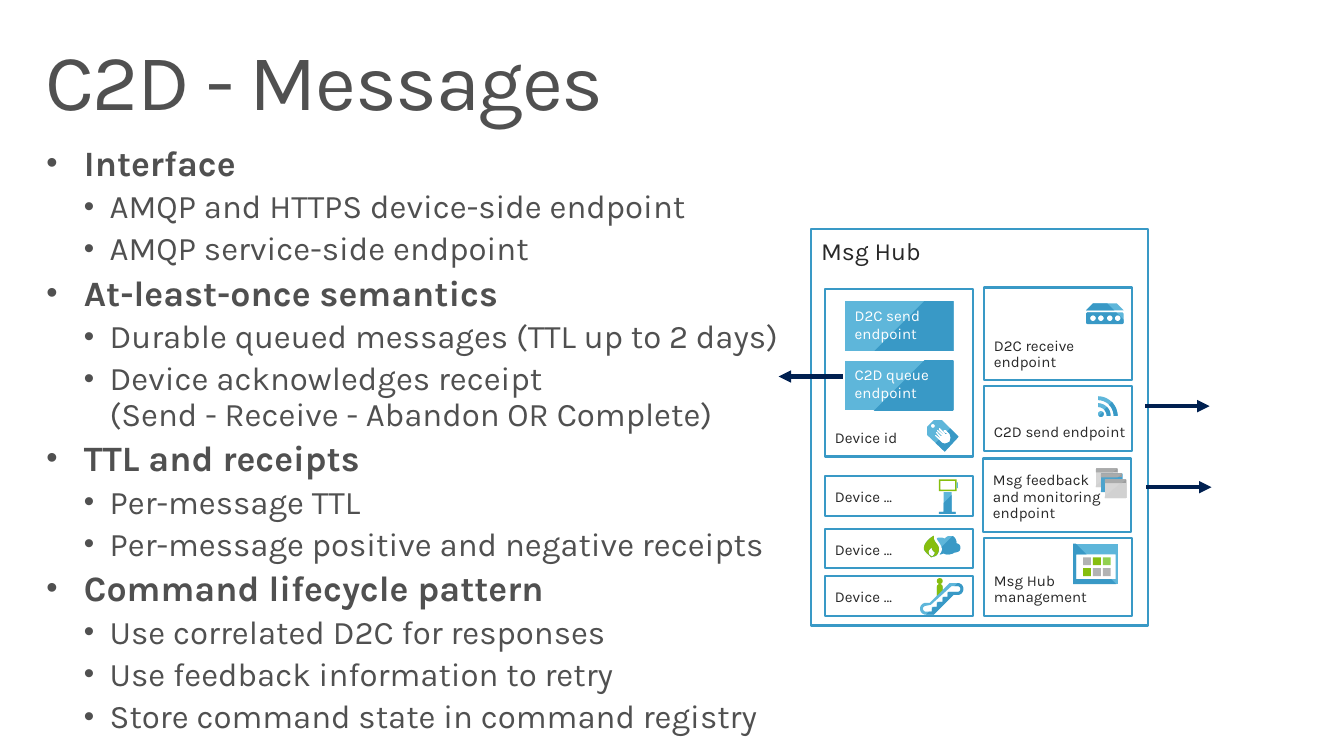
from dataclasses import dataclass
from math import cos, radians, sin

from lxml.etree import SubElement
from pptx import Presentation
from pptx.dml.color import RGBColor
from pptx.enum.shapes import MSO_CONNECTOR, MSO_SHAPE
from pptx.enum.text import MSO_ANCHOR, PP_ALIGN
from pptx.oxml.ns import qn
from pptx.util import Inches, Pt

FONT = "Karla"
UNITS_PER_INCH = 1000
WHITE = RGBColor(0xFF, 0xFF, 0xFF)
GRAY = RGBColor(0x50, 0x50, 0x50)
INK = RGBColor(0x28, 0x28, 0x28)
NAVY = RGBColor(0x00, 0x20, 0x50)
SKY = RGBColor(0x5E, 0xB6, 0xDA)
BLUE = RGBColor(0x39, 0x99, 0xC6)
GREEN = RGBColor(0x86, 0xBE, 0x0E)
LIME = RGBColor(0x92, 0xD0, 0x50)
SILVER = RGBColor(0xB2, 0xB3, 0xB3)


@dataclass
class Gradient:
    first: RGBColor
    second: RGBColor
    angle: int = 45
    stops: tuple = (0.5, 0.5)


@dataclass
class Card:
    text: str
    place: tuple
    size: int = 11
    anchor: MSO_ANCHOR = MSO_ANCHOR.BOTTOM


@dataclass
class Preset:
    kind: MSO_SHAPE
    place: tuple
    fill: RGBColor | Gradient
    adjustments: tuple = ()


@dataclass
class Outline:
    contours: list
    fill: RGBColor | Gradient


BLEND = Gradient(SKY, BLUE)
PANE = Gradient(RGBColor(0xD6, 0xD6, 0xD6), RGBColor(0xD1, 0xD1, 0xD1), 50, (0.46, 0.48))
BLUE_PANE = Gradient(RGBColor(0x4C, 0xA3, 0xCC), RGBColor(0x45, 0xA2, 0xCF), 50, (0.46, 0.46))
BAR = Gradient(RGBColor(0x9D, 0x9E, 0x9F), RGBColor(0xAA, 0xAB, 0xAB), 230, (0.19, 0.19))

TOPICS = [
    ("Interface", ["AMQP and HTTPS device-side endpoint", "AMQP service-side endpoint"]),
    ("At-least-once semantics", ["Durable queued messages (TTL up to 2 days)",
                                 "Device acknowledges receipt\n(Send - Receive - Abandon OR Complete)"]),
    ("TTL and receipts", ["Per-message TTL", "Per-message positive and negative receipts"]),
    ("Command lifecycle pattern", ["Use correlated D2C for responses", "Use feedback information to retry",
                                   "Store command state in command registry"]),
]
CARDS = [
    Card("Msg Hub", (8.21, 2.32, 3.41, 4.01), 18, MSO_ANCHOR.TOP),
    Card("Device id", (8.35, 2.92, 1.5, 1.7)),
    *[Card("Device …", (8.35, top, 1.5, 0.4)) for top in (4.82, 5.35, 5.83)],
    Card("D2C receive endpoint", (9.96, 2.91, 1.5, 0.94)),
    Card("C2D send endpoint", (9.96, 3.91, 1.5, 0.65)),
    Card("Msg Hub management", (9.96, 5.44, 1.5, 0.79)),
    Card("Msg feedback\nand monitoring endpoint", (9.95, 4.64, 1.5, 0.74)),
]
QUEUES = [(3.65, ["C2D queue", "endpoint"]), (3.05, ["D2C send endpoint"])]
ARROWS = [(8.53, 7.88, 3.81), (11.6, 12.26, 4.93), (11.59, 12.24, 4.11)]


def arc(x: float, y: float, radius: float, start: int = 0, end: int = 360) -> list:
    angles = [radians(start + (end - start) * step / 16) for step in range(17)]
    return [(x + radius * cos(angle), y + radius * sin(angle)) for angle in angles]


def curve(*knots: tuple) -> list:
    points = [knots[0]]
    for index in range(0, len(knots) - 1, 3):
        group = knots[index:index + 4]
        for step in range(1, 9):
            t = step / 8
            weights = ((1 - t) ** 3, 3 * t * (1 - t) ** 2, 3 * t * t * (1 - t), t ** 3)
            points.append(tuple(sum(w * knot[axis] for w, knot in zip(weights, group)) for axis in (0, 1)))
    return points


def rectangle(left: float, top: float, right: float, bottom: float) -> list:
    return [(left, top), (right, top), (right, bottom), (left, bottom)]


KIOSK = [[(9.55, 4.98), (9.63, 4.98), (9.63, 5.18), (9.67, 5.18), (9.67, 5.2), (9.5, 5.2), (9.5, 5.18), (9.55, 5.18)],
         rectangle(9.68, 4.88, 9.7, 4.94)]
ESCALATOR = [
    [*arc(9.69, 5.96, 0.06, -90, 90), (9.65, 6.02), (9.45, 6.22), *arc(9.37, 6.16, 0.06, 90, 270), (9.41, 6.1),
     (9.48, 6.03), *arc(9.51, 5.95, 0.03, 180, 360), (9.54, 5.97), (9.61, 5.9)],
    [*arc(9.69, 5.96, 0.03, -90, 90), (9.59, 5.99), (9.59, 6.04), (9.54, 6.04), (9.54, 6.09), (9.48, 6.09),
     (9.48, 6.14), (9.43, 6.14), (9.43, 6.19), *arc(9.37, 6.16, 0.03, 90, 270), (9.42, 6.12), (9.63, 5.93)],
]
RIDER = [[*arc(9.51, 5.94, 0.03, 180, 360), (9.54, 5.97), (9.48, 6.03)]]
FLAME = [
    curve((9.43, 5.54), (9.4, 5.56), (9.39, 5.58), (9.4, 5.6), (9.4, 5.62), (9.42, 5.62), (9.43, 5.63),
          (9.44, 5.63), (9.46, 5.61), (9.46, 5.59), (9.45, 5.58), (9.43, 5.57), (9.43, 5.54)),
    curve((9.45, 5.42), (9.44, 5.48), (9.49, 5.5), (9.5, 5.54), (9.51, 5.58), (9.48, 5.63), (9.45, 5.63),
          (9.44, 5.63), (9.43, 5.64), (9.42, 5.64), (9.41, 5.62), (9.37, 5.6), (9.35, 5.56),
          (9.34, 5.52), (9.38, 5.46), (9.45, 5.42)),
]
CLOUD = curve((9.62, 5.42), (9.65, 5.42), (9.68, 5.45), (9.68, 5.5), (9.7, 5.5), (9.72, 5.52), (9.72, 5.54),
              (9.72, 5.57), (9.7, 5.59), (9.66, 5.59), (9.65, 5.6), (9.62, 5.61), (9.6, 5.61),
              (9.58, 5.61), (9.57, 5.61), (9.55, 5.6), (9.54, 5.6), (9.53, 5.61), (9.51, 5.61),
              (9.53, 5.59), (9.54, 5.56), (9.53, 5.54), (9.52, 5.5), (9.49, 5.48), (9.48, 5.45),
              (9.49, 5.44), (9.5, 5.44), (9.51, 5.44), (9.53, 5.44), (9.54, 5.44), (9.56, 5.45),
              (9.57, 5.44), (9.59, 5.42), (9.62, 5.42))
TAG = [
    [(9.38, 4.4), (9.38, 4.32), (9.45, 4.25), (9.53, 4.25), (9.7, 4.42), (9.56, 4.57)],
    arc(9.44, 4.31, 0.02),
    [(9.57, 4.35), (9.55, 4.35), (9.55, 4.37), (9.58, 4.39), (9.57, 4.39), (9.51, 4.33), (9.5, 4.33), (9.5, 4.35),
     (9.54, 4.39), (9.49, 4.35), (9.48, 4.35), (9.48, 4.36), (9.53, 4.41), (9.52, 4.41), (9.48, 4.37), (9.47, 4.37),
     (9.47, 4.38), (9.51, 4.43), (9.47, 4.4), (9.46, 4.4), (9.46, 4.41), (9.53, 4.48), (9.56, 4.49), (9.59, 4.48),
     (9.61, 4.47), (9.62, 4.43), (9.61, 4.39)],
]
ROUTER = [
    *[arc(x, 3.22, 0.03) for x in (11.06, 11.14, 11.23, 11.31)],
    [*arc(11.01, 3.18, 0.02, 180, 270), *arc(11.35, 3.18, 0.02, -90, 0),
     *arc(11.35, 3.26, 0.02, 0, 90), *arc(11.01, 3.26, 0.02, 90, 180)],
    [(11.06, 3.07), (11.3, 3.07), (11.37, 3.14), (10.99, 3.14)],
]
DASHBOARD = [rectangle(10.89, 5.61, 11.29, 5.86), rectangle(10.86, 5.5, 11.32, 5.91)]
TILES = [SILVER, GREEN, LIME, GREEN, SILVER, SILVER]
WINDOWS = [(11.09, 4.74, PANE), (11.14, 4.79, BLUE_PANE), (11.18, 4.85, PANE)]
ICONS = [
    Preset(MSO_SHAPE.FRAME, (9.5, 4.85, 0.18, 0.12), GREEN),
    Outline(KIOSK, BLEND),
    Outline(ESCALATOR, BLEND),
    Preset(MSO_SHAPE.OVAL, (9.48, 5.85, 0.06, 0.06), GREEN),
    Outline(RIDER, GREEN),
    Outline([*FLAME, CLOUD], BLEND),
    Outline(FLAME, GREEN),
    Outline(TAG, BLEND),
    Outline(DASHBOARD, Gradient(SKY, BLUE, 135)),
    *[Preset(MSO_SHAPE.RECTANGLE, (10.96 + index % 3 * 0.1, 5.64 + index // 3 * 0.11, 0.08, 0.08), color)
      for index, color in enumerate(TILES)],
    Preset(MSO_SHAPE.OVAL, (11.11, 4.16, 0.06, 0.06), BLEND),
    *[Outline([arc(11.11, 4.21, radius, -90, 0) + arc(11.11, 4.21, radius - 0.04, 0, -90)], BLEND)
      for radius in (0.13, 0.2)],
    Outline(ROUTER, Gradient(SKY, BLUE, 135, (0.28, 0.28))),
    *[Preset(MSO_SHAPE.ROUND_2_SAME_RECTANGLE, (left, top, 0.22, height), fill, (corner, 0))
      for left, top, pane in WINDOWS for height, fill, corner in ((0.19, pane, 0.05), (0.04, BAR, 0.24))],
]


def paint(shape, fill: RGBColor | Gradient) -> None:
    shape.shadow.inherit = False
    shape.line.fill.background()
    if isinstance(fill, RGBColor):
        shape.fill.solid()
        shape.fill.fore_color.rgb = fill
        return
    shape.fill.gradient()
    shape.fill.gradient_angle = 360 - fill.angle
    for stop, color, position in zip(shape.fill.gradient_stops, (fill.first, fill.second), fill.stops):
        stop.color.rgb = color
        stop.position = position


def set_frame(shape, margins: tuple, anchor: MSO_ANCHOR = MSO_ANCHOR.TOP):
    frame = shape.text_frame
    frame.word_wrap = True
    frame.vertical_anchor = anchor
    frame.margin_left, frame.margin_top, frame.margin_right, frame.margin_bottom = map(Inches, margins)
    return frame


def write(para, text: str, size: int, color: RGBColor, bold: bool = False, spacing: float = 0.9) -> None:
    para.alignment = PP_ALIGN.LEFT
    para.line_spacing = spacing
    for index, line in enumerate(text.split("\n")):
        if index:
            para.add_line_break()
        span = para.add_run()
        span.text = line
        span.font.name, span.font.size, span.font.bold = FONT, Pt(size), bold
        span.font.color.rgb = color


def add_preset(page, preset: Preset):
    shape = page.shapes.add_shape(preset.kind, *map(Inches, preset.place))
    for index, value in enumerate(preset.adjustments):
        shape.adjustments[index] = value
    paint(shape, preset.fill)
    return shape


def add_outline(page, outline: Outline) -> None:
    first, *others = [[(x * UNITS_PER_INCH, y * UNITS_PER_INCH) for x, y in contour] for contour in outline.contours]
    builder = page.shapes.build_freeform(*first[0], scale=Inches(1) / UNITS_PER_INCH)
    builder.add_line_segments(first[1:], close=True)
    for contour in others:
        builder.move_to(*contour[0])
        builder.add_line_segments(contour[1:], close=True)
    paint(builder.convert_to_shape(), outline.fill)


def add_card(page, card: Card) -> None:
    box = add_preset(page, Preset(MSO_SHAPE.RECTANGLE, card.place, WHITE))
    SubElement(box._element.spPr.find(qn("a:solidFill"))[0], qn("a:alpha"), val="79000")
    box.line.color.rgb = BLUE
    box.line.width = Pt(1.5)
    write(set_frame(box, (0.1, 0.1, 0, 0.1), card.anchor).paragraphs[0], card.text, card.size, INK)


def add_arrow(page, start: float, end: float, y: float) -> None:
    arrow = page.shapes.add_connector(MSO_CONNECTOR.STRAIGHT, *map(Inches, (start, y, end, y)))
    arrow.line.color.rgb = NAVY
    arrow.line.width = Pt(3)
    SubElement(arrow._element.spPr.get_or_add_ln(), qn("a:tailEnd"), type="triangle")
    SubElement(arrow._element.spPr, qn("a:effectLst"))


def add_topics(page) -> None:
    box = page.shapes.add_textbox(*map(Inches, (0.31, 1.37, 8, 4.48)))
    frame = set_frame(box, (0.16, 0.1, 0.16, 0.1))
    lines = [(text, level) for head, points in TOPICS for text, level in [(head, 0), *[(p, 1) for p in points]]]
    for index, (text, level) in enumerate(lines):
        para = frame.add_paragraph() if index else frame.paragraphs[0]
        para.level = level
        margin, hanging, size = ((0.38, 0.38, 26), (0.64, 0.26, 24))[level]
        properties = para._p.get_or_add_pPr()
        properties.set("marL", str(Inches(margin)))
        properties.set("indent", str(-Inches(hanging)))
        SubElement(properties, qn("a:buSzPct"), val="90000")
        SubElement(properties, qn("a:buFont"), typeface="Arial")
        SubElement(properties, qn("a:buChar"), char="•")
        para.space_before = Pt(size * 0.2 if index else 0)
        write(para, text, size, GRAY, level == 0)


def main() -> None:
    deck = Presentation()
    deck.slide_width, deck.slide_height = Inches(13.6), Inches(7.65)
    page = deck.slides.add_slide(deck.slide_layouts[6])
    title = set_frame(page.shapes.add_textbox(*map(Inches, (0.3, 0.32, 13, 2))), (0.16, 0.1, 0.16, 0.1))
    write(title.paragraphs[0], "C2D - Messages", 58, GRAY)
    title.paragraphs[0].runs[0].font._element.set("spc", "-100")
    add_topics(page)
    for card in CARDS:
        add_card(page, card)
    for top, lines in QUEUES:
        box = add_preset(page, Preset(MSO_SHAPE.RECTANGLE, (8.55, top, 1.1, 0.5), BLEND))
        frame = set_frame(box, (0.1, 0.05, 0.1, 0.05))
        for index, line in enumerate(lines):
            write(frame.add_paragraph() if index else frame.paragraphs[0], line, 11, WHITE, spacing=1.0)
    for icon in ICONS:
        (add_preset if isinstance(icon, Preset) else add_outline)(page, icon)
    for arrow in ARROWS:
        add_arrow(page, *arrow)
    deck.save("out.pptx")


if __name__ == "__main__":
    main()
